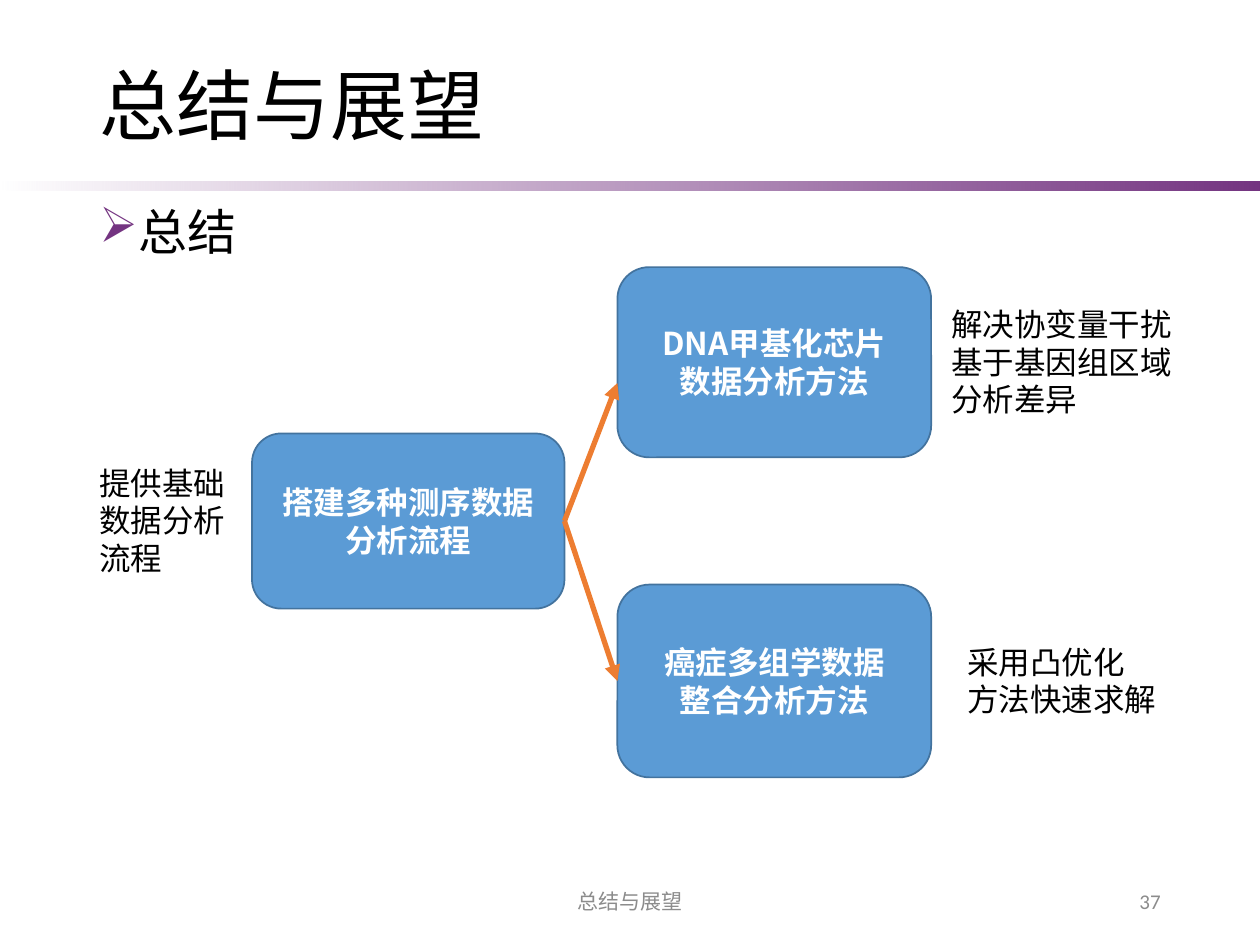
from lxml import etree
from pptx import Presentation
from pptx.dml.color import RGBColor
from pptx.enum.shapes import MSO_CONNECTOR, MSO_SHAPE
from pptx.enum.text import MSO_ANCHOR, PP_ALIGN
from pptx.oxml.ns import qn
from pptx.util import Inches, Pt

RECT, ROUND = MSO_SHAPE.RECTANGLE, MSO_SHAPE.ROUNDED_RECTANGLE
STRAIGHT = MSO_CONNECTOR.STRAIGHT
TOP, MIDDLE = MSO_ANCHOR.TOP, MSO_ANCHOR.MIDDLE
LEFT, CENTER, RIGHT = PP_ALIGN.LEFT, PP_ALIGN.CENTER, PP_ALIGN.RIGHT
PURPLE = RGBColor(0x74, 0x34, 0x81)
BLUE = RGBColor(0x5B, 0x9B, 0xD5)
EDGE = RGBColor(0x43, 0x73, 0x9E)
ORANGE = RGBColor(0xED, 0x7D, 0x31)
GRAY = RGBColor(0x8C, 0x8C, 0x8C)
BLACK = RGBColor(0, 0, 0)
WHITE = RGBColor(255, 255, 255)
CJK = "Noto Sans CJK SC"

prs = Presentation()
prs.slide_width, prs.slide_height = Inches(10), Inches(7.5)
slide = prs.slides.add_slide(prs.slide_layouts[6])
shapes = slide.shapes


def write(shape, text, size, font, color, align=LEFT, anchor=MIDDLE, bold=False):
    frame = shape.text_frame
    frame.text = text
    frame.word_wrap = True
    frame.vertical_anchor = anchor
    for para in frame.paragraphs:
        para.alignment = align
        for run in para.runs:
            run.font.size = Pt(size)
            run.font.name = font
            run.font.bold = bold
            run.font.color.rgb = color
            east = etree.SubElement(run.font._element, qn("a:ea"))
            east.set("typeface", CJK)
    return frame


def add_text(box, *style, **more):
    return write(shapes.add_textbox(*map(Inches, box)), *style, **more)


# Purple band fading in from the left
band = shapes.add_shape(RECT, 0, Inches(1.44), Inches(10), Inches(0.07))
band.shadow.inherit = False
band.line.fill.background()
band.fill.gradient()
band.fill.gradient_angle = 0
for stop in band.fill.gradient_stops:
    stop.color.rgb = PURPLE
clear = band._element.spPr.find(".//" + qn("a:srgbClr"))
etree.SubElement(clear, qn("a:alpha")).set("val", "0")

# Title and bulleted heading
title = add_text((0.69, 0.4, 8.62, 0.94), "总结与展望", 44, "Arial", BLACK)
title.paragraphs[0].line_spacing = 0.9
body = add_text((0.69, 1.6, 8.62, 5.1), "总结", 28, "Arial", BLACK, anchor=TOP)
para = body.paragraphs[0]
para.line_spacing = 0.9
para.space_before = Pt(10)
props = para._p.get_or_add_pPr()
props.set("marL", str(Inches(0.25)))
props.set("indent", str(-Inches(0.25)))
tint = etree.SubElement(props, qn("a:buClr"))
etree.SubElement(tint, qn("a:srgbClr")).set("val", str(PURPLE))
etree.SubElement(props, qn("a:buFont")).set("typeface", "Wingdings")
etree.SubElement(props, qn("a:buChar")).set("char", "Ø")

# Footer and page number
add_text((3.31, 6.95, 3.38, 0.4), "总结与展望", 12, "Calibri", GRAY, CENTER)
add_text((7.06, 6.95, 2.25, 0.4), "37", 12, "Calibri", GRAY, RIGHT)

# Method boxes
boxes = []
for box, text in [
    ((2, 3.44, 2.48, 1.39), "搭建多种测序数据\n分析流程"),
    ((4.9, 2.12, 2.49, 1.51), "DNA甲基化芯片\n数据分析方法"),
    ((4.9, 4.64, 2.49, 1.53), "癌症多组学数据\n整合分析方法"),
]:
    shape = shapes.add_shape(ROUND, *map(Inches, box))
    shape.shadow.inherit = False
    shape.fill.solid()
    shape.fill.fore_color.rgb = BLUE
    shape.line.color.rgb = EDGE
    shape.line.width = Pt(1)
    write(shape, text, 18, CJK, WHITE, CENTER, bold=True)
    boxes.append(shape)
flow, chip, omics = boxes

# Side notes
for box, text in [
    ((0.69, 3.63, 1.21, 1.01), "提供基础\n数据分析\n流程"),
    ((7.45, 2.37, 1.97, 1.01), "解决协变量干扰\n基于基因组区域\n分析差异"),
    ((7.58, 5.05, 1.72, 0.71), "采用凸优化\n方法快速求解"),
]:
    note = add_text(box, text, 18, "Calibri", BLACK, anchor=TOP)
    note.word_wrap = False

# Arrows from the pipeline to both methods
for end in (3.04, 5.41):
    arrow = shapes.add_connector(
        STRAIGHT, Inches(4.48), Inches(4.14), Inches(4.9), Inches(end))
    arrow.begin_connect(flow, 3)
    if end == 5.41:
        arrow.end_connect(omics, 1)
    arrow.line.color.rgb = ORANGE
    arrow.line.width = Pt(3)
    line = arrow.line._get_or_add_ln()
    etree.SubElement(line, qn("a:tailEnd")).set("type", "triangle")
    etree.SubElement(arrow._element.spPr, qn("a:effectLst"))

prs.save("out.pptx")
